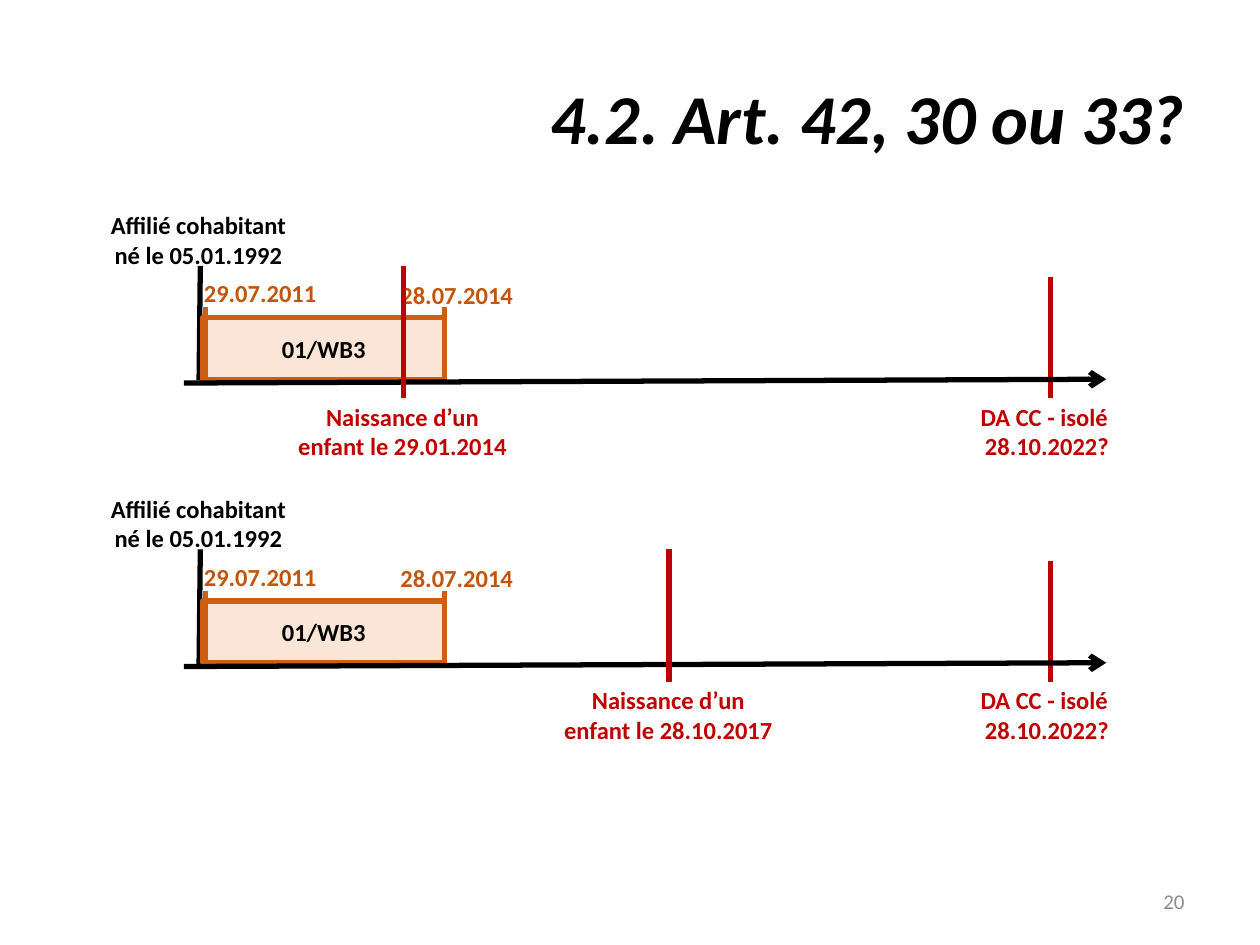
import pptx
import pptx.util
import pptx.dml.color
import pptx.enum.shapes
import pptx.enum.text
import pptx.oxml
import pptx.oxml.ns

Inches = pptx.util.Inches
Align = pptx.enum.text.PP_ALIGN
Anchor = pptx.enum.text.MSO_ANCHOR

BLACK, RED, RUST = "000000", "C00000", "CE5E12"
DATE, PEACH, GREY = "C3550A", "FBE5D6", "8C8C8C"


def color(code):
    return pptx.dml.color.RGBColor.from_string(code)


def write(shape, text, size, code, align=Align.CENTER, bold=True, italic=False):
    frame = shape.text_frame
    frame.word_wrap = True
    frame.text = text
    for para in frame.paragraphs:
        para.alignment = align
        for run in para.runs:
            font = run.font
            font.name, font.size = "Calibri", pptx.util.Pt(size)
            font.bold, font.italic = bold, italic
            font.color.rgb = color(code)


def label(shapes, x, y, w, h, text, code):
    box = shapes.add_textbox(Inches(x), Inches(y), Inches(w), Inches(h))
    write(box, text, 14, code)


def line(shapes, x1, y1, x2, y2, code, arrow=False):
    link = shapes.add_connector(
        pptx.enum.shapes.MSO_CONNECTOR.STRAIGHT,
        Inches(x1), Inches(y1), Inches(x2), Inches(y2))
    link.line.color.rgb = color(code)
    link.line.width = pptx.util.Pt(3)
    if arrow:
        tail = pptx.oxml.parse_xml(
            f'<a:tailEnd {pptx.oxml.ns.nsdecls("a")} type="arrow"/>')
        link.line._get_or_add_ln().append(tail)
    props = link._element.spPr
    props.append(pptx.oxml.parse_xml(
        f'<a:effectLst {pptx.oxml.ns.nsdecls("a")}/>'))


def period(shapes, x, y, w, h, text):
    bar = shapes.add_shape(
        pptx.enum.shapes.MSO_SHAPE.RECTANGLE,
        Inches(x), Inches(y), Inches(w), Inches(h))
    bar.shadow.inherit = False
    bar.fill.solid()
    bar.fill.fore_color.rgb = color(PEACH)
    bar.line.color.rgb = color(RUST)
    bar.line.width = pptx.util.Pt(3)
    bar.text_frame.vertical_anchor = Anchor.MIDDLE
    write(bar, text, 14, BLACK)


def heading(slide, x, y, w, h, text, size, code, strong):
    """Right-aligned, vertically centred text for the title and page number."""
    box = slide.shapes.add_textbox(Inches(x), Inches(y), Inches(w), Inches(h))
    box.text_frame.vertical_anchor = Anchor.MIDDLE
    write(box, text, size, code, Align.RIGHT, strong, strong)


def timeline(slide, left, top, birth, date):
    """Draw one case; birth is the child's place along the axis, from left."""
    shapes = slide.shapes.add_group_shape().shapes
    label(shapes, left, top, 1.81, 0.57,
          "Affilié cohabitant\nné le 05.01.1992", BLACK)
    label(shapes, left + birth - 0.97, top + 1.52, 1.93, 0.57,
          f"Naissance d’un enfant le {date}", RED)
    line(shapes, left + 0.92, top + 0.49, left + 0.91, top + 1.4, BLACK)
    label(shapes, left + 6.61, top + 1.52, 2.06, 0.57,
          "DA CC - isolé \n28.10.2022?", RED)
    line(shapes, left + 7.67, top + 1.54, left + 7.67, top + 0.58, RED)
    period(shapes, left + 0.94, top + 0.9, 1.92, 0.49, "01/WB3")
    line(shapes, left + 0.79, top + 1.42, left + 8.11, top + 1.39, BLACK, True)
    for x in (2.86, 0.96):
        line(shapes, left + x, top + 1.39, left + x, top + 0.82, RUST)
    for x, y, day in ((0.8, 0.54, "29.07.2011"), (2.36, 0.55, "28.07.2014")):
        label(shapes, left + x, top + y, 1.19, 0.34, day, DATE)
    line(shapes, left + birth, top + 0.49, left + birth, top + 1.54, RED)


def main():
    deck = pptx.Presentation()
    deck.slide_width, deck.slide_height = Inches(10), Inches(7.5)
    slide = deck.slides.add_slide(deck.slide_layouts[6])
    heading(slide, 0.5, 0.3, 9, 1.25, "4.2. Art. 42, 30 ou 33?", 40, BLACK, True)
    heading(slide, 7.17, 6.95, 2.33, 0.4, "20", 12, GREY, False)
    cases = ((2.53, "29.01.2014"), (4.64, "28.10.2017"))
    for row, (birth, date) in enumerate(cases):
        timeline(slide, 0.67, 1.62 + row * 2.25, birth, date)
    deck.save("out.pptx")


if __name__ == "__main__":
    main()
